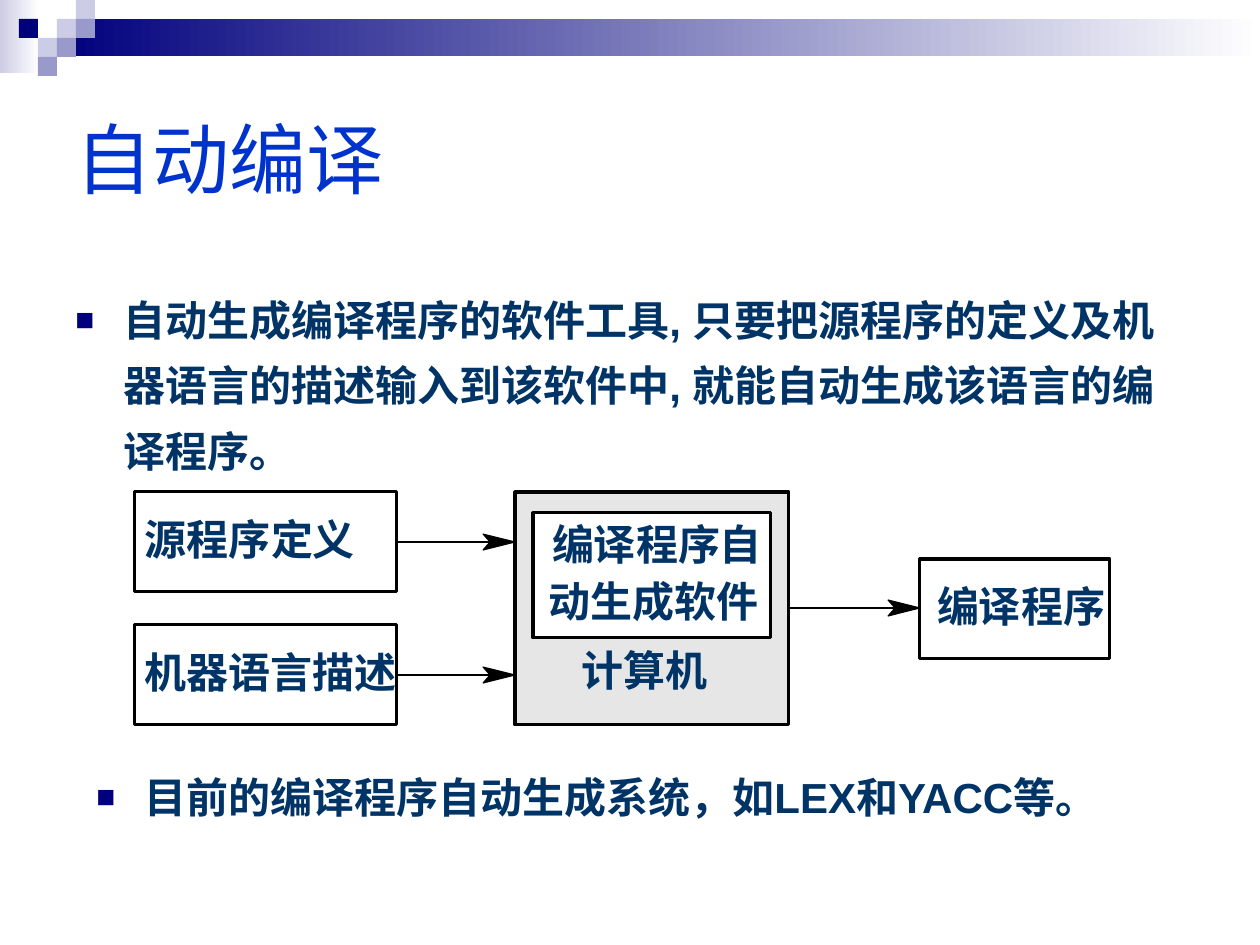
from lxml import etree
from pptx import Presentation, util as u
from pptx.dml.color import RGBColor
from pptx.enum import shapes, text
from pptx.oxml.ns import qn

PX = 914400 / 126  # EMU per px
W, H = 1260, 945
CJK = "Noto Sans CJK SC"
NAVY, LILAC, VIOLET, INK = "00007D", "CCCCE6", "9999CC", "003366"

# Header ornament: gradient bands, then squares
BANDS = [((0, 0, 39, 73), LILAC), ((57, 19, 1203, 37), NAVY)]
CELL = 19
SQUARES = [(3, 1, LILAC), (4, 0, LILAC), (4, 1, VIOLET), (2, 2, LILAC),
           (1, 1, NAVY), (3, 2, VIOLET), (2, 3, VIOLET)]  # column, row, colour

TITLE = ("自动编译", (63, 63, 1134, 189))
BULLETS = [
    ("自动生成编译程序的软件工具, 只要把源程序的定义及机器语言的描述输入到该软件中, "
     "就能自动生成该语言的编译程序。", (63, 273, 1134, 219)),
    ("目前的编译程序自动生成系统，如LEX和YACC等。", (84, 750, 1042, 107)),
]

# Flow diagram
BOXES = [((135, 492, 262, 100), "FFFFFF"), ((135, 625, 262, 100), "FFFFFF"),
         ((515, 492, 274, 233), "E6E6E6"), ((920, 559, 190, 100), "FFFFFF"),
         ((533, 513, 238, 125), "FFFFFF")]
LABELS = [("源程序定义", 145, 514), ("机器语言描述", 145, 647),
          ("计算机", 582, 645), ("编译程序", 937, 581),
          ("编译程序自", 552, 519), ("动生成软件", 549, 576)]
GLYPH, LABEL_H = 42, 50
ARROWS = [(397, 515, 542), (397, 515, 675), (789, 920, 608)]  # from x, to x, y
HEAD_LEN, HEAD_NOTCH, HEAD_HALF = 32, 25, 8


def px(n):
    return u.Emu(round(n * PX))


def rgb(value):
    return RGBColor.from_string(value)


def paint(sp, fill, line=None, width=1.75):
    sp.shadow.inherit = False
    sp.fill.solid()
    sp.fill.fore_color.rgb = rgb(fill)
    if line:
        sp.line.color.rgb = rgb(line)
        sp.line.width = u.Pt(width)
    else:
        sp.line.fill.background()


def add_rect(s, at, fill, line=None):
    sp = s.shapes.add_shape(shapes.MSO_SHAPE.RECTANGLE, *map(px, at))
    paint(sp, fill, line)
    return sp


def add_band(s, at, start):
    sp = add_rect(s, at, start)
    sp.fill.gradient()
    sp.fill.gradient_angle = 0
    for stop, (pos, color) in zip(sp.fill.gradient_stops, [(0, start), (1, "FFFFFF")]):
        stop.position = pos
        stop.color.rgb = rgb(color)


def add_text(s, words, at, font="Arial", size=24, color=INK, bold=True,
             bullet=False, **frame):
    tf = s.shapes.add_textbox(*map(px, at)).text_frame
    for key, value in ({"word_wrap": True} | frame).items():
        setattr(tf, key, value)
    p = tf.paragraphs[0]
    if bullet:
        add_bullet(p)
        p.line_spacing = 1.3
    r = p.add_run()
    r.text = words
    for key, value in {"name": font, "size": u.Pt(size), "bold": bold}.items():
        setattr(r.font, key, value)
    r.font.color.rgb = rgb(color)
    etree.SubElement(r.font._element, qn("a:ea"), typeface=CJK)


def add_bullet(p):
    pPr = p._p.get_or_add_pPr()
    pPr.set("marL", str(px(48)))
    pPr.set("indent", str(-px(48)))
    color = etree.SubElement(pPr, qn("a:buClr"))
    etree.SubElement(color, qn("a:srgbClr"), val=NAVY)
    etree.SubElement(pPr, qn("a:buSzPct"), val="75000")
    etree.SubElement(pPr, qn("a:buFont"), typeface="Arial")
    etree.SubElement(pPr, qn("a:buChar"), char="■")


def add_arrow(s, x1, x2, y):
    line = s.shapes.add_connector(shapes.MSO_CONNECTOR.STRAIGHT,
                                  px(x1), px(y), px(x2 - HEAD_NOTCH), px(y))
    line.line.color.rgb = rgb("000000")
    line.line.width = u.Pt(1)
    etree.SubElement(line._element.spPr, qn("a:effectLst"))
    # Swept-back head with its tip at x2
    back = x2 - HEAD_LEN
    fb = s.shapes.build_freeform(back, y - HEAD_HALF, scale=PX)
    fb.add_line_segments([(x2 - HEAD_NOTCH, y), (back, y + HEAD_HALF), (x2, y)])
    paint(fb.convert_to_shape(), "000000", "000000", 0.62)


def main():
    prs = Presentation()
    prs.slide_width, prs.slide_height = px(W), px(H)
    s = prs.slides.add_slide(prs.slide_layouts[6])

    # Header
    for at, start in BANDS:
        add_band(s, at, start)
    for col, row, color in SQUARES:
        add_rect(s, (col * CELL, row * CELL, CELL, CELL), color)

    # Title and bullets
    add_text(s, *TITLE, size=44, color="0033CC", bold=False,
             vertical_anchor=text.MSO_ANCHOR.MIDDLE)
    for words, at in BULLETS:
        add_text(s, words, at, bullet=True)

    # Diagram
    for at, fill in BOXES:
        add_rect(s, at, fill, "000000")
    for arrow in ARROWS:
        add_arrow(s, *arrow)
    tight = dict.fromkeys(["margin_left", "margin_top", "margin_right", "margin_bottom"], 0)
    for words, x, y in LABELS:
        add_text(s, words, (x, y, len(words) * GLYPH, LABEL_H), font=CJK,
                 **tight | {"word_wrap": False})

    prs.save("out.pptx")


if __name__ == "__main__":
    main()
